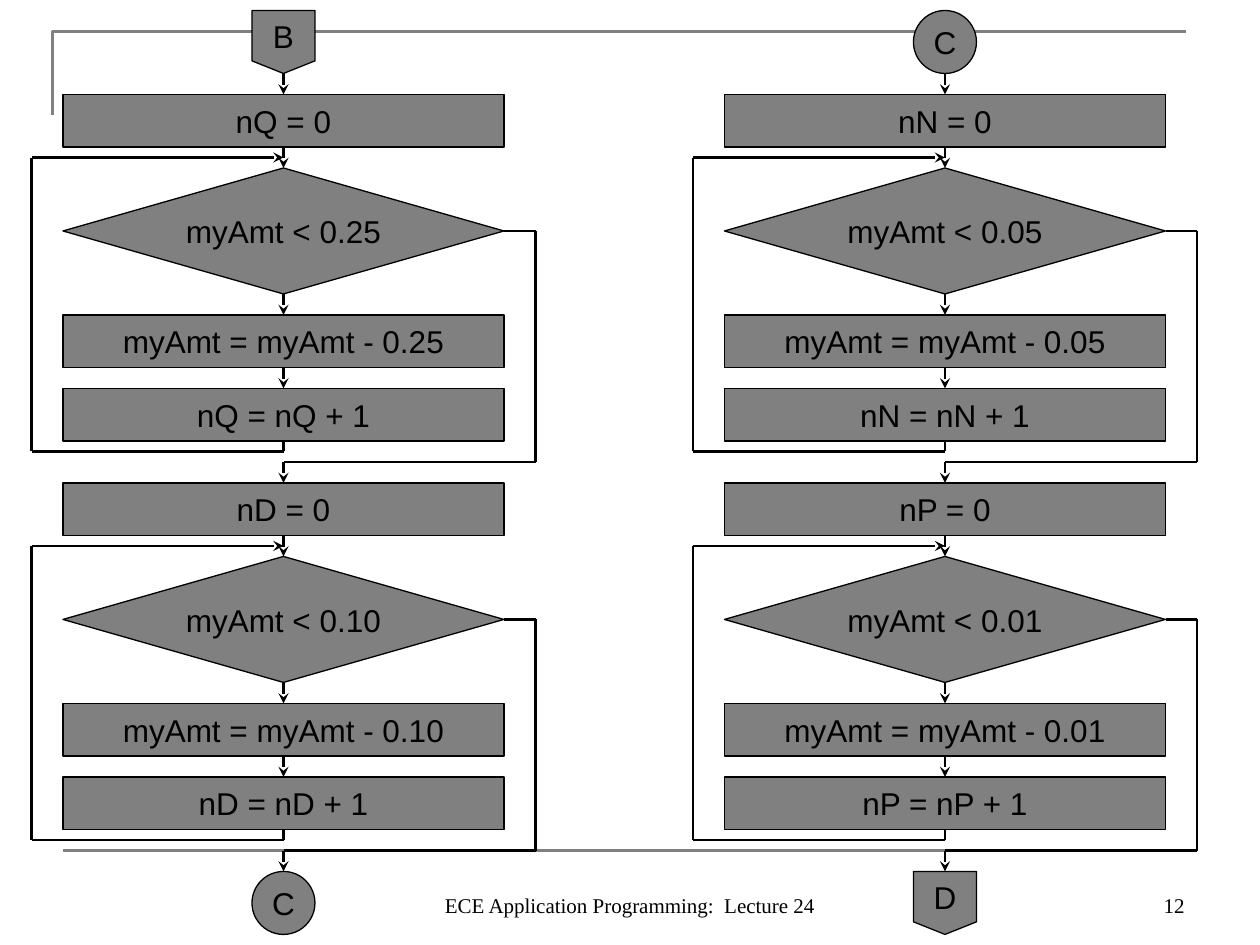
from itertools import pairwise

from lxml.etree import SubElement
from pptx import Presentation
from pptx.dml.color import RGBColor
from pptx.enum.shapes import MSO_CONNECTOR, MSO_SHAPE as SHAPE
from pptx.enum.text import MSO_ANCHOR as ANCHOR, PP_ALIGN as ALIGN
from pptx.oxml.ns import qn
from pptx.util import Pt

rgb = RGBColor.from_string
BLACK, GRAY = "000000", "808080"


def add_symbol(kind, x, y, w, h, text):
    """Add a grey flowchart symbol with centred text."""
    sp = s.shapes.add_shape(kind, Pt(x), Pt(y), Pt(w), Pt(h))
    sp.shadow.inherit = False
    sp.fill.solid()
    sp.fill.fore_color.rgb = rgb(GRAY)
    sp.line.color.rgb = rgb(BLACK)
    sp.line.width = Pt(0.74)
    tf = sp.text_frame
    tf.word_wrap = False
    tf.vertical_anchor = ANCHOR.MIDDLE
    p = tf.paragraphs[0]
    p.text = text
    p.alignment = ALIGN.CENTER
    p.font.name = "Arial"
    p.font.size = Pt(18)
    p.font.color.rgb = rgb(BLACK)


def add_path(points, color=BLACK, width=1.25, arrow=True):
    """Join the points with straight lines, with an arrowhead at the end."""
    for (x1, y1), (x2, y2) in pairwise(points):
        line = s.shapes.add_connector(
            MSO_CONNECTOR.STRAIGHT, Pt(x1), Pt(y1), Pt(x2), Pt(y2))
        line.line.color.rgb = rgb(color)
        line.line.width = Pt(width)
        SubElement(line._element.spPr, qn("a:effectLst"))
    if arrow:
        SubElement(line.line._get_or_add_ln(), qn("a:tailEnd"), type="stealth")


prs = Presentation()
prs.slide_width, prs.slide_height = Pt(720), Pt(540)
s = prs.slides.add_slide(prs.slide_layouts[6])

# Frame lines behind the chart
builder = s.shapes.build_freeform(Pt(30), Pt(66))
builder.add_line_segments([(Pt(30), Pt(18)), (Pt(678), Pt(18))], close=False)
corner = builder.convert_to_shape()
corner.shadow.inherit = False
corner.fill.background()
corner.line.color.rgb = rgb(GRAY)
corner.line.width = Pt(1.5)
add_path([(36, 486), (684, 486)], GRAY, 1.5, arrow=False)

# Two columns, each with two counting loops
BOX_W, BOX_H, END = 252, 30, 36
LOOP_STEP = 222
OFFPAGE, CIRCLE = SHAPE.FLOWCHART_OFFPAGE_CONNECTOR, SHAPE.FLOWCHART_CONNECTOR
columns = [
    (36, (OFFPAGE, "B"), (CIRCLE, "C"), [("nQ", "0.25"), ("nD", "0.10")]),
    (414, (CIRCLE, "C"), (OFFPAGE, "D"), [("nN", "0.05"), ("nP", "0.01")]),
]
for left, start, finish, coins in columns:
    mid, right = left + BOX_W / 2, left + BOX_W
    for (kind, label), y in ((start, 6), (finish, 498)):
        add_symbol(kind, mid - END / 2, y, END, END, label)
    add_path([(mid, 42), (mid, 54)])

    for i, (count, value) in enumerate(coins):
        top = 54 + i * LOOP_STEP
        for dy, text in ((0, f"{count} = 0"),
                         (126, f"myAmt = myAmt - {value}"),
                         (168, f"{count} = {count} + 1")):
            add_symbol(SHAPE.FLOWCHART_PROCESS, left, top + dy, BOX_W, BOX_H, text)
        add_symbol(SHAPE.FLOWCHART_DECISION, left, top + 42, BOX_W, 72,
                   f"myAmt < {value}")
        for dy in (30, 114, 156):
            add_path([(mid, top + dy), (mid, top + dy + 12)])
        # Back to the test
        add_path([(mid, top + 198), (mid, top + 204), (left - 18, top + 204),
                  (left - 18, top + 36), (mid, top + 36)])
        # Out of the loop
        add_path([(right, top + 78), (right + 18, top + 78),
                  (right + 18, top + 210), (mid, top + 210), (mid, top + 222)])

# Footer and page number
for x, w, text, align in (
        (246, 228, "ECE Application Programming:  Lecture 24", ALIGN.CENTER),
        (516, 168, "12", ALIGN.RIGHT)):
    tf = s.shapes.add_textbox(Pt(x), Pt(492), Pt(w), Pt(36)).text_frame
    tf.word_wrap = True
    tf.vertical_anchor = ANCHOR.BOTTOM
    p = tf.paragraphs[0]
    p.text = text
    p.alignment = align
    p.font.name = "Times New Roman"
    p.font.size = Pt(12)
    p.font.color.rgb = rgb(BLACK)

prs.save("out.pptx")
